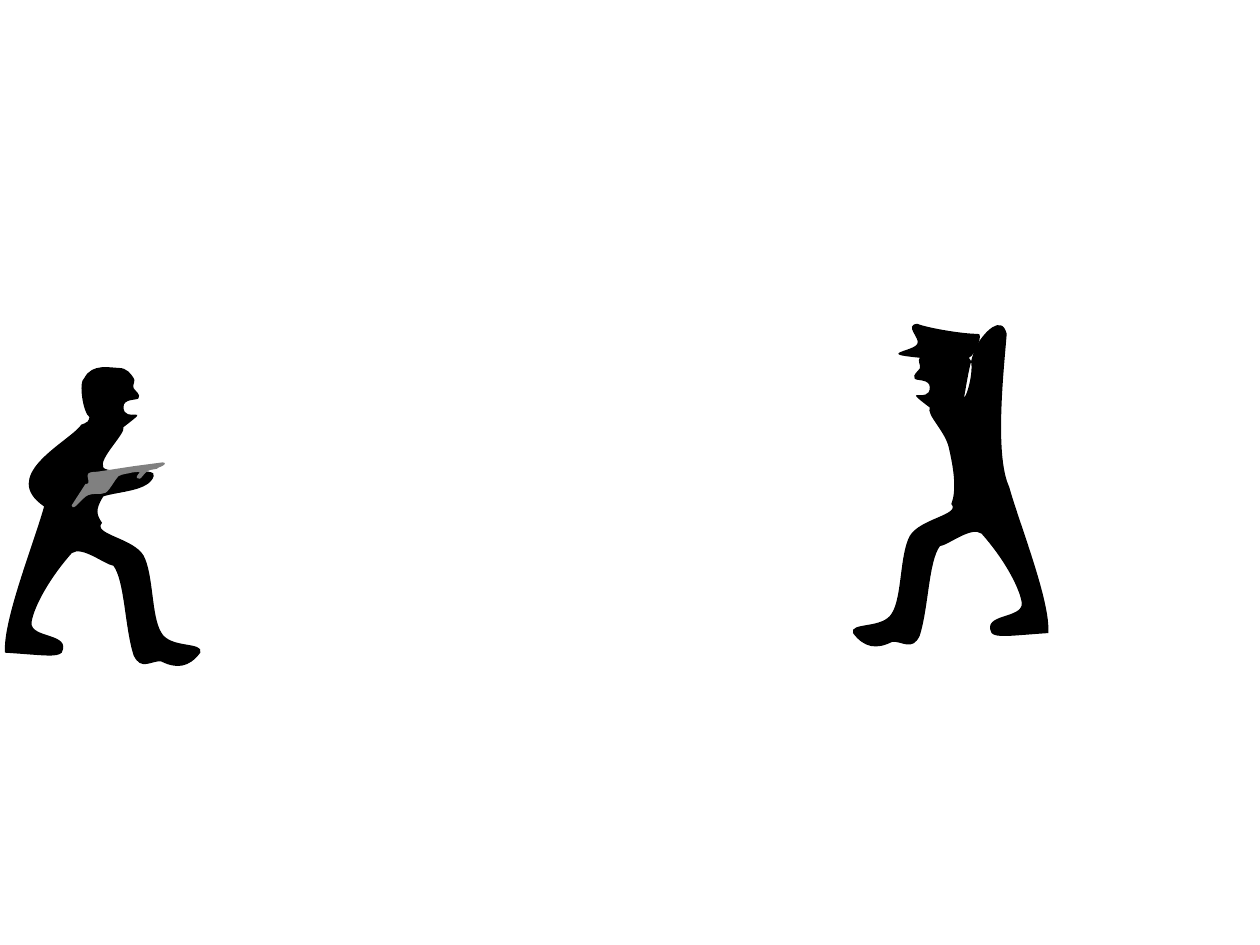
"""Build a slide with two facing silhouettes, one aiming and one with raised arms."""
from math import cos, radians, sin

from lxml import etree
from pptx import Presentation
from pptx.dml.color import RGBColor
from pptx.oxml.ns import qn
from pptx.util import Inches

BLACK = RGBColor(0x00, 0x00, 0x00)
GRAY = RGBColor(0x80, 0x80, 0x80)
MIRROR_SUM, LIFT = 8.36, 0.155
RIFLE_TILT, RIFLE_CENTER = -9.3, (0.945, 3.855)

FACE = [
    (1.08, 3.02, 1.05, 3.05, 1.06, 3.08),
    (1.07, 3.1, 1.12, 3.13, 1.1, 3.16),
    (1.09, 3.18, 0.98, 3.16, 0.98, 3.23),
    (0.98, 3.37, 1.23, 3.2, 0.98, 3.39),
]
LEGS = [
    (0.73, 4.24, 1.06, 4.27, 1.14, 4.41),
    (1.22, 4.56, 1.2, 4.89, 1.28, 5.02),
    (1.35, 5.15, 1.62, 5.09, 1.59, 5.18),
    (1.5, 5.3, 1.4, 5.31, 1.28, 5.25),
    (1.2, 5.24, 1.12, 5.33, 1.06, 5.2),
    (0.99, 4.98, 0.99, 4.61, 0.9, 4.49),
    (0.83, 4.48, 0.65, 4.33, 0.57, 4.39),
    (0.4, 4.58, 0.27, 4.81, 0.25, 4.94),
    (0.24, 5.07, 0.57, 5.02, 0.49, 5.18),
    (0.45, 5.22, 0.34, 5.2, 0.04, 5.18),
    (0.02, 4.93, 0.27, 4.31, 0.35, 4.02),
]
AIMER_HEAD = [
    (0.64, 3.35, 0.7, 3.38, 0.71, 3.31),
    (0.66, 3.28, 0.62, 3.03, 0.67, 3),
    (0.73, 2.88, 0.88, 2.92, 0.94, 2.92),
    (1.01, 2.92, 1.04, 2.97, 1.06, 3),
]
AIMER_ARM = [
    (1, 3.44, 0.78, 3.64, 0.82, 3.71),
    (0.86, 3.77, 1.26, 3.7, 1.22, 3.78),
    (1.18, 3.9, 0.94, 3.9, 0.82, 3.94),
    (0.75, 4.05, 0.77, 4.09, 0.81, 4.15),
]
AIMER_BACK = [(0, 3.78, 0.5, 3.53, 0.63, 3.39)]
RAISED_ARMS = [
    (7.95, 2.49, 7.81, 2.64, 7.76, 2.73),
    (7.7, 2.81, 7.66, 3.13, 7.65, 3.16),
    (7.69, 3.12, 7.74, 2.87, 7.69, 2.84),
    (7.62, 2.73, 7.48, 2.76, 7.41, 2.76),
    (7.34, 2.76, 7.31, 2.81, 7.3, 2.84),
]
RAISED_CHEST = [
    (7.35, 3.29, 7.5, 3.42, 7.53, 3.55),
    (7.56, 3.68, 7.6, 3.88, 7.55, 4),
]
RAISED_BACK = [(7.89, 3.61, 7.97, 2.91, 7.99, 2.65)]
RIFLE = [
    (0.73, 3.85, 0.68, 3.77, 0.7, 3.76),
    (0.72, 3.74, 0.74, 3.75, 0.8, 3.74),
    (1.06, 3.7),
    (1.29, 3.67),
    (1.32, 3.67, 1.32, 3.69, 1.26, 3.71),
    (1.25, 3.73, 1.2, 3.72, 1.17, 3.74),
    (1.15, 3.75, 1.12, 3.8, 1.11, 3.8),
    (1.1, 3.8, 1.06, 3.8, 1.11, 3.75),
    (1.1, 3.74, 1.07, 3.75, 1.05, 3.75),
    (1.02, 3.76, 0.97, 3.76, 0.94, 3.78),
    (0.91, 3.81, 0.88, 3.88, 0.84, 3.91),
    (0.8, 3.93, 0.74, 3.91, 0.7, 3.93),
    (0.65, 3.95, 0.58, 4.07, 0.57, 4.01),
    (0.57, 4.01, 0.68, 3.84, 0.68, 3.84),
]
CAP = [
    (7.35, 2.6, 7.63, 2.65, 7.76, 2.65),
    (7.81, 2.64, 7.74, 2.82, 7.69, 2.84),
    (7.6, 2.87, 7.39, 2.85, 7.3, 2.84),
    (7.2, 2.83, 7.13, 2.82, 7.13, 2.81),
    (7.12, 2.79, 7.26, 2.77, 7.28, 2.73),
    (7.31, 2.69, 7.17, 2.58, 7.28, 2.57),
]


def mirrored(curves):
    return [tuple(v - LIFT if i % 2 else MIRROR_SUM - v for i, v in enumerate(c))
            for c in curves]


def turned(point, center, degrees):
    dx, dy = point[0] - center[0], point[1] - center[1]
    c, n = cos(radians(degrees)), sin(radians(degrees))
    return center[0] + dx * c - dy * n, center[1] + dx * n + dy * c


def add_silhouette(s, start, segments, color, tilt=0, center=(0, 0)):
    points = [start]
    for seg in segments:
        points += zip(seg[::2], seg[1::2])
    points = [tuple(map(Inches, turned(p, center, -tilt))) for p in points]
    builder = s.shapes.build_freeform(*points[0])
    builder.add_line_segments(points[1:], close=True)
    sp = builder.convert_to_shape()
    lines = iter(list(sp.element.iter(qn("a:lnTo"))))
    for seg in segments:
        group = [next(lines) for _ in seg[::2]]
        if len(group) == 3:
            curve = etree.Element(qn("a:cubicBezTo"))
            group[0].addprevious(curve)
            for line in group:
                curve.append(line[0])
                line.getparent().remove(line)
    sp.rotation = tilt
    sp.shadow.inherit = False
    sp.fill.solid()
    sp.fill.fore_color.rgb = color
    sp.line.fill.background()


SILHOUETTES = [
    ((0.63, 3.39), AIMER_HEAD + FACE + AIMER_ARM + LEGS + AIMER_BACK, BLACK),
    ((7.99, 2.65),
     RAISED_ARMS + mirrored(FACE) + RAISED_CHEST + mirrored(LEGS) + RAISED_BACK, BLACK),
    ((0.68, 3.84), RIFLE, GRAY, RIFLE_TILT, RIFLE_CENTER),
    ((7.28, 2.57), CAP, BLACK),
]


def main():
    prs = Presentation()
    prs.slide_width, prs.slide_height = Inches(10), Inches(7.5)
    s = prs.slides.add_slide(prs.slide_layouts[6])
    for silhouette in SILHOUETTES:
        add_silhouette(s, *silhouette)
    prs.save("out.pptx")


if __name__ == "__main__":
    main()
